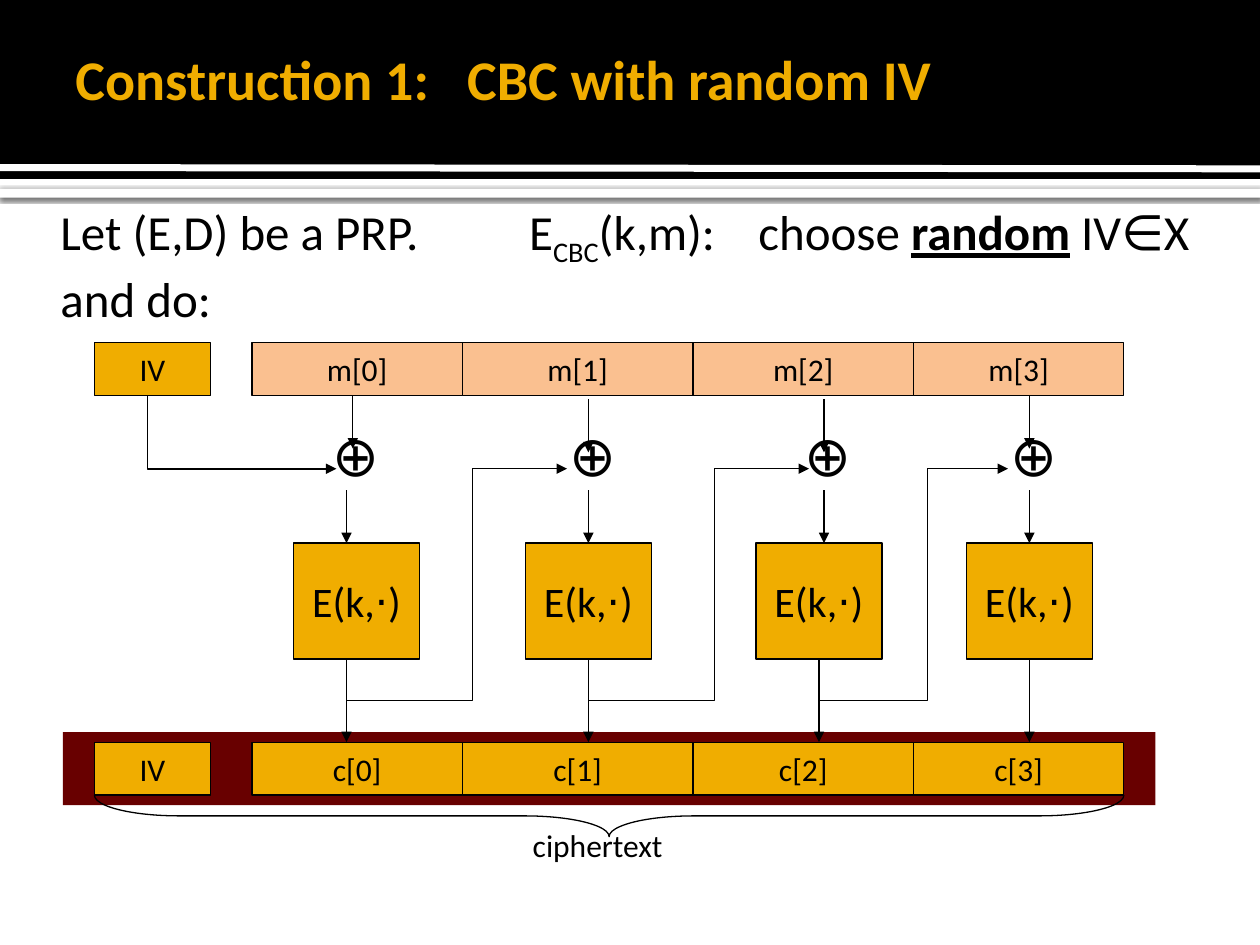
"""Build a slide showing CBC encryption with a random IV."""
from dataclasses import dataclass

from lxml import etree
from pptx import Presentation
from pptx import util as u
from pptx.dml.color import RGBColor
from pptx.enum import shapes, text
from pptx.oxml.ns import qn


@dataclass(frozen=True)
class Theme:
    font: str = "Calibri"
    black: str = "000000"
    white: str = "FFFFFF"
    gold: str = "F0AD00"
    peach: str = "FAC090"
    maroon: str = "680000"
    heading: int = 32
    body: int = 28
    cipher: int = 24
    label: int = 18
    thin: float = 0.75


THEME = Theme()
TITLE = "Construction 1:\tCBC with random IV"
INTRO = [
    ("Let (E,D) be a PRP.\tE", ""),
    ("CBC", "subscript"),
    ("(k,m):\tchoose ", ""),
    ("random", "strong"),
    (" IV∈X and do:", ""),
]
BLOCK_EDGES = [2, 3.67, 5.5, 7.25, 8.92]
COLUMNS = [
    {"cipher": 2.33, "xor": 2.54, "input": 2.8, "input_top": 3.14, "middle": 2.75, "output": 2.75},
    {"cipher": 4.17, "xor": 4.42, "input": 4.67, "input_top": 3.17, "middle": 4.67, "output": 4.67},
    {"cipher": 6, "xor": 6.29, "input": 6.54, "input_top": 3.17, "middle": 6.54, "output": 6.5},
    {"cipher": 7.67, "xor": 7.92, "input": 8.17, "input_top": 3.14, "middle": 8.17, "output": 8.17},
]
FEEDBACK = [(2.75, 3.75, 4.5), (4.67, 5.67, 6.42), (6.5, 7.36, 8)]
MESSAGE_TOP, CODE_TOP, BLOCK_HEIGHT = 2.72, 5.89, 0.42
CIPHER_TOP, CIPHER_HEIGHT = 4.31, 0.92
XOR_LEVEL, BRANCH_LEVEL = 3.72, 5.56

presentation = Presentation()
presentation.slide_width, presentation.slide_height = u.Inches(10), u.Inches(7.5)
slide = presentation.slides.add_slide(presentation.slide_layouts[6])


def color(value):
    return RGBColor.from_string(value)


def style_paragraph(paragraph, size, ink=THEME.black, bold=False, tabs=()):
    if tabs:
        tab_list = etree.SubElement(paragraph._p.get_or_add_pPr(), qn("a:tabLst"))
        for position in tabs:
            etree.SubElement(tab_list, qn("a:tab"), pos=str(u.Inches(position)), algn="l")
    font = paragraph.font
    font.name, font.size, font.bold = THEME.font, u.Pt(size), bold
    font.color.rgb = color(ink)


def add_box(left, top, width, height, fill=None, label="", size=THEME.label,
            outlined=False, kind=shapes.MSO_SHAPE.RECTANGLE):
    shape = slide.shapes.add_shape(kind, *map(u.Inches, (left, top, width, height)))
    shape.shadow.inherit = False
    if fill:
        shape.fill.solid()
        shape.fill.fore_color.rgb = color(fill)
    else:
        shape.fill.background()
    if outlined:
        style_line(shape.line)
    else:
        shape.line.fill.background()
    if label:
        frame = shape.text_frame
        frame.word_wrap = False
        frame.vertical_anchor = text.MSO_ANCHOR.MIDDLE
        paragraph = frame.paragraphs[0]
        paragraph.text = label
        paragraph.alignment = text.PP_ALIGN.CENTER
        style_paragraph(paragraph, size)
    return shape


def add_text_box(left, top, width, height, margins=(0.1, 0.05, 0.1, 0.05), wrap=True):
    frame = slide.shapes.add_textbox(*map(u.Inches, (left, top, width, height))).text_frame
    frame.word_wrap = wrap
    if not wrap:
        frame.auto_size = text.MSO_AUTO_SIZE.SHAPE_TO_FIT_TEXT
    (frame.margin_left, frame.margin_top,
     frame.margin_right, frame.margin_bottom) = map(u.Inches, margins)
    return frame


def add_label(left, top, width, height, label, size):
    paragraph = add_text_box(left, top, width, height, wrap=False).paragraphs[0]
    paragraph.text = label
    style_paragraph(paragraph, size)


def style_line(line, ink=THEME.black, width=THEME.thin, arrow=False):
    line.color.rgb = color(ink)
    line.width = u.Pt(width)
    if arrow:
        etree.SubElement(line._get_or_add_ln(), qn("a:tailEnd"), type="triangle")


def add_line(start, end, ink=THEME.black, width=THEME.thin, arrow=True):
    connector = slide.shapes.add_connector(
        shapes.MSO_CONNECTOR.STRAIGHT, *map(u.Inches, (*start, *end)))
    style_line(connector.line, ink, width, arrow)
    etree.SubElement(connector._element.spPr, qn("a:effectLst"))


def add_route(points, width=THEME.thin):
    start, *rest = [tuple(map(u.Inches, point)) for point in points]
    builder = slide.shapes.build_freeform(*start)
    builder.add_line_segments(rest, close=False)
    shape = builder.convert_to_shape()
    shape.shadow.inherit = False
    shape.fill.background()
    style_line(shape.line, width=width, arrow=True)


def add_header():
    stripe = add_box(0, 1.5, 10, 0.07, THEME.white)
    effects = stripe._element.spPr.find(qn("a:effectLst"))
    shadow = etree.SubElement(effects, qn("a:outerShdw"), blurRad=str(u.Pt(2.5)),
                              dist=str(u.Pt(0.8)), dir="5400000", rotWithShape="0")
    ink = etree.SubElement(shadow, qn("a:srgbClr"), val=THEME.black)
    etree.SubElement(ink, qn("a:alpha"), val="60000")
    add_box(0, 0, 10, 1.42, THEME.black)
    add_line((0, 1.33), (10, 1.34), THEME.white, 4, arrow=False)
    frame = add_text_box(0.5, 0.08, 8.25, 1.08, (0.1, 0.05, 0.05, 0.05))
    frame.vertical_anchor = text.MSO_ANCHOR.MIDDLE
    paragraph = frame.paragraphs[0]
    paragraph.text = TITLE
    style_paragraph(paragraph, THEME.heading, THEME.gold, bold=True, tabs=[3.11])


def add_intro():
    paragraph = add_text_box(0.42, 1.5, 9.33, 1.2, (0.06, 0.1, 0.1, 0.05)).paragraphs[0]
    style_paragraph(paragraph, THEME.body, tabs=[3.72, 5.54])
    for words, role in INTRO:
        run = paragraph.add_run()
        run.text = words
        if role == "subscript":
            run._r.get_or_add_rPr().set("baseline", "-25000")
        elif role == "strong":
            run.font.bold = run.font.underline = True


def add_block_row(top, letter, fill):
    add_box(0.75, top, 0.92, BLOCK_HEIGHT, THEME.gold, "IV", outlined=True)
    for index, (left, right) in enumerate(zip(BLOCK_EDGES, BLOCK_EDGES[1:])):
        add_box(left, top, right - left, BLOCK_HEIGHT, fill, f"{letter}[{index}]", outlined=True)


def add_column(column):
    add_box(column["cipher"], CIPHER_TOP, 1, CIPHER_HEIGHT, THEME.gold, "E(k,⋅)",
            THEME.cipher, outlined=True)
    add_label(column["xor"], 3.29, 0.55, 0.64, "⊕", THEME.heading)
    for x, top, bottom in [
        (column["input"], column["input_top"], column["input_top"] + 0.42),
        (column["middle"], 3.89, CIPHER_TOP),
        (column["output"], CIPHER_TOP + CIPHER_HEIGHT, CODE_TOP),
    ]:
        add_line((x, top), (x, bottom))


add_header()
add_box(0.5, 5.81, 8.67, 0.58, THEME.maroon)
add_intro()
add_block_row(MESSAGE_TOP, "m", THEME.peach)
for column in COLUMNS:
    add_column(column)
add_route([(1.17, MESSAGE_TOP + BLOCK_HEIGHT), (1.17, XOR_LEVEL), (2.67, XOR_LEVEL)], 1)
for start, turn, end in FEEDBACK:
    add_route([(start, BRANCH_LEVEL), (turn, BRANCH_LEVEL), (turn, XOR_LEVEL), (end, XOR_LEVEL)])
add_block_row(CODE_TOP, "c", THEME.gold)
brace = add_box(4.67, 2.39, 0.33, 8.17, outlined=True, kind=shapes.MSO_SHAPE.LEFT_BRACE)
brace.rotation = 270
brace.adjustments[0], brace.adjustments[1] = 2.04, 0.5
add_label(4.13, 6.51, 1.27, 0.4, "ciphertext", THEME.label)
presentation.save("out.pptx")
